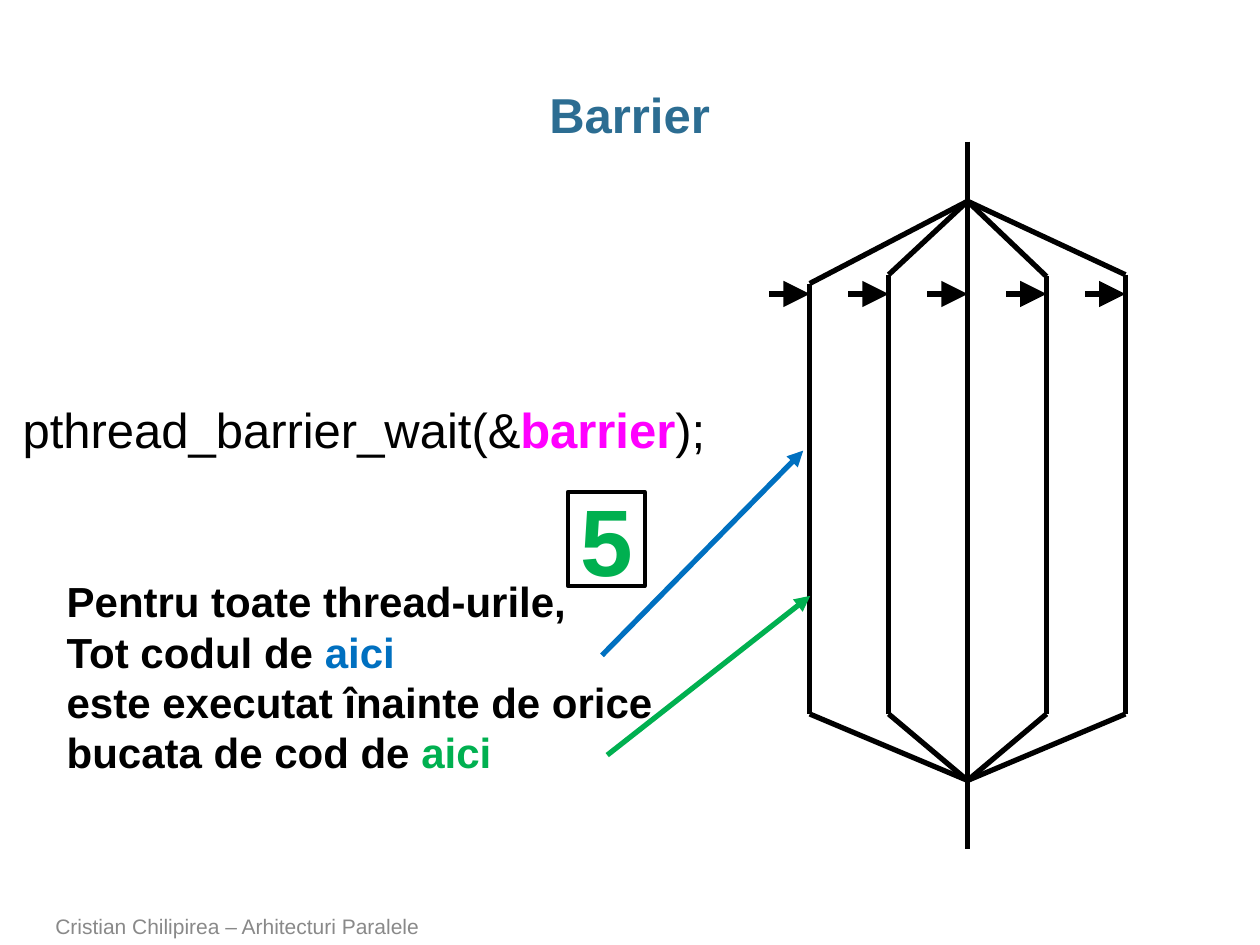
from dataclasses import dataclass

from lxml import etree
from pptx import Presentation
from pptx.dml.color import RGBColor
from pptx.enum.shapes import MSO_CONNECTOR, MSO_SHAPE
from pptx.enum.text import MSO_ANCHOR, PP_ALIGN
from pptx.oxml.ns import qn
from pptx.util import Pt

LEFT, CENTER = PP_ALIGN.LEFT, PP_ALIGN.CENTER
TOP, MIDDLE, BOTTOM = MSO_ANCHOR.TOP, MSO_ANCHOR.MIDDLE, MSO_ANCHOR.BOTTOM
STRAIGHT = MSO_CONNECTOR.STRAIGHT
RECT = MSO_SHAPE.RECTANGLE


@dataclass(frozen=True)
class Theme:
    """Colours, font and sizes of the slide."""
    font: str = "Arial"
    ink: str = "000000"
    title: str = "2C6D92"
    blue: str = "0070C0"
    green: str = "00B050"
    pink: str = "FF00FF"
    grey: str = "898989"
    head: int = 28
    body: int = 24
    count: int = 54
    foot: int = 12
    line: int = 3
    frame: int = 2


LOOK = Theme()


def write(shape, rows, size, color=LOOK.ink, bold=False, align=LEFT,
          anchor=TOP, wrap=True, pad=(7.2, 3.6), space=1.0):
    """Fill a shape with rows of runs, each run a (text, format) pair."""
    frame = shape.text_frame
    frame.word_wrap = wrap
    frame.vertical_anchor = anchor
    frame.margin_left = frame.margin_right = Pt(pad[0])
    frame.margin_top = frame.margin_bottom = Pt(pad[1])
    for i, row in enumerate(rows):
        para = frame.add_paragraph() if i else frame.paragraphs[0]
        para.alignment = align
        para.line_spacing = space
        para.space_before = Pt(0)
        for text, form in row:
            run = para.add_run()
            run.text = text
            run.font.name = LOOK.font
            run.font.size = Pt(size)
            run.font.bold = form.get("bold", bold)
            run.font.color.rgb = RGBColor.from_string(form.get("color", color))


def label(slide, box, rows, size, **form):
    """Add a text box."""
    shape = slide.shapes.add_textbox(*map(Pt, box))
    write(shape, rows, size, **form)


def link(slide, start, end, color=LOOK.ink, head=None):
    """Draw a line, with an arrowhead of the given size if any."""
    line = slide.shapes.add_connector(STRAIGHT, *map(Pt, (*start, *end)))
    line.line.color.rgb = RGBColor.from_string(color)
    line.line.width = Pt(LOOK.line)
    if head:
        etree.SubElement(line.line._get_or_add_ln(), qn("a:tailEnd"),
                         type="triangle", w=head, len=head)
    etree.SubElement(line._element.spPr, qn("a:effectLst"))


def title(slide, box):
    """Place the slide title."""
    shape = slide.shapes.title
    shape.left, shape.top, shape.width, shape.height = map(Pt, box)
    write(shape, [[("Barrier", {})]], LOOK.head, color=LOOK.title, bold=True,
          align=CENTER, anchor=MIDDLE, pad=(0, 3.6), space=0.95)


def threads(slide, box):
    """Draw the threads from fork to join, with a marker on each."""
    left, top, width, height = box
    tops = (81, 76, 70, 77, 76)
    step = width / (len(tops) - 1)
    mid = left + width / 2
    fork, join = (mid, top + 34), (mid, top + height - 39)
    base, mark = top + 327, top + 87
    link(slide, (mid, top), fork)
    for i, drop in enumerate(tops):
        x = left + i * step
        link(slide, fork, (x, top + drop))
        link(slide, (x, top + drop), (x, base))
        link(slide, (x, base), join)
        link(slide, (x - 23, mark), (x, mark), head="lg")
    link(slide, join, (mid, top + height))


def call(slide, box):
    """Show the barrier call."""
    label(slide, box, [[("pthread_barrier_wait(&", {}),
                        ("barrier", {"color": LOOK.pink, "bold": True}),
                        (");", {})]], LOOK.head, wrap=False)


def rule(slide, box):
    """State the ordering rule and point to both sides of the barrier."""
    left, top = box[:2]
    label(slide, box, [
        [("Pentru toate thread-urile,", {})],
        [("Tot codul de ", {}), ("aici", {"color": LOOK.blue})],
        [("este executat înainte de orice bucata de cod de ", {}),
         ("aici", {"color": LOOK.green})],
    ], LOOK.body, bold=True)
    link(slide, (left + 313, top + 49), (left + 428, top - 68),
         color=LOOK.blue, head="med")
    link(slide, (left + 316, top + 106), (left + 432, top + 15),
         color=LOOK.green, head="med")


def count(slide, box):
    """Show the thread count in a frame."""
    shape = slide.shapes.add_shape(RECT, *map(Pt, box))
    shape.shadow.inherit = False
    shape.fill.background()
    shape.line.color.rgb = RGBColor.from_string(LOOK.ink)
    shape.line.width = Pt(LOOK.frame)
    write(shape, [[("5", {})]], LOOK.count, color=LOOK.green, bold=True,
          align=CENTER, anchor=MIDDLE)


def footer(slide, box):
    """Place the course line."""
    label(slide, box, [[("Cristian Chilipirea – Arhitecturi Paralele", {})]],
          LOOK.foot, color=LOOK.grey, anchor=BOTTOM)


def main():
    """Build and save the slide."""
    deck = Presentation()
    deck.slide_width, deck.slide_height = Pt(720), Pt(540)
    slide = deck.slides.add_slide(deck.slide_layouts[5])
    title(slide, (24.5, 49, 670.5, 36))
    threads(slide, (462.7, 81, 180.4, 404))
    rule(slide, (31, 325.5, 400, 124))
    call(slide, (5.8, 224.6, 409.7, 41))
    footer(slide, (24.5, 520, 530.5, 20))
    count(slide, (324.5, 281, 44, 54))
    deck.save("out.pptx")


if __name__ == "__main__":
    main()
